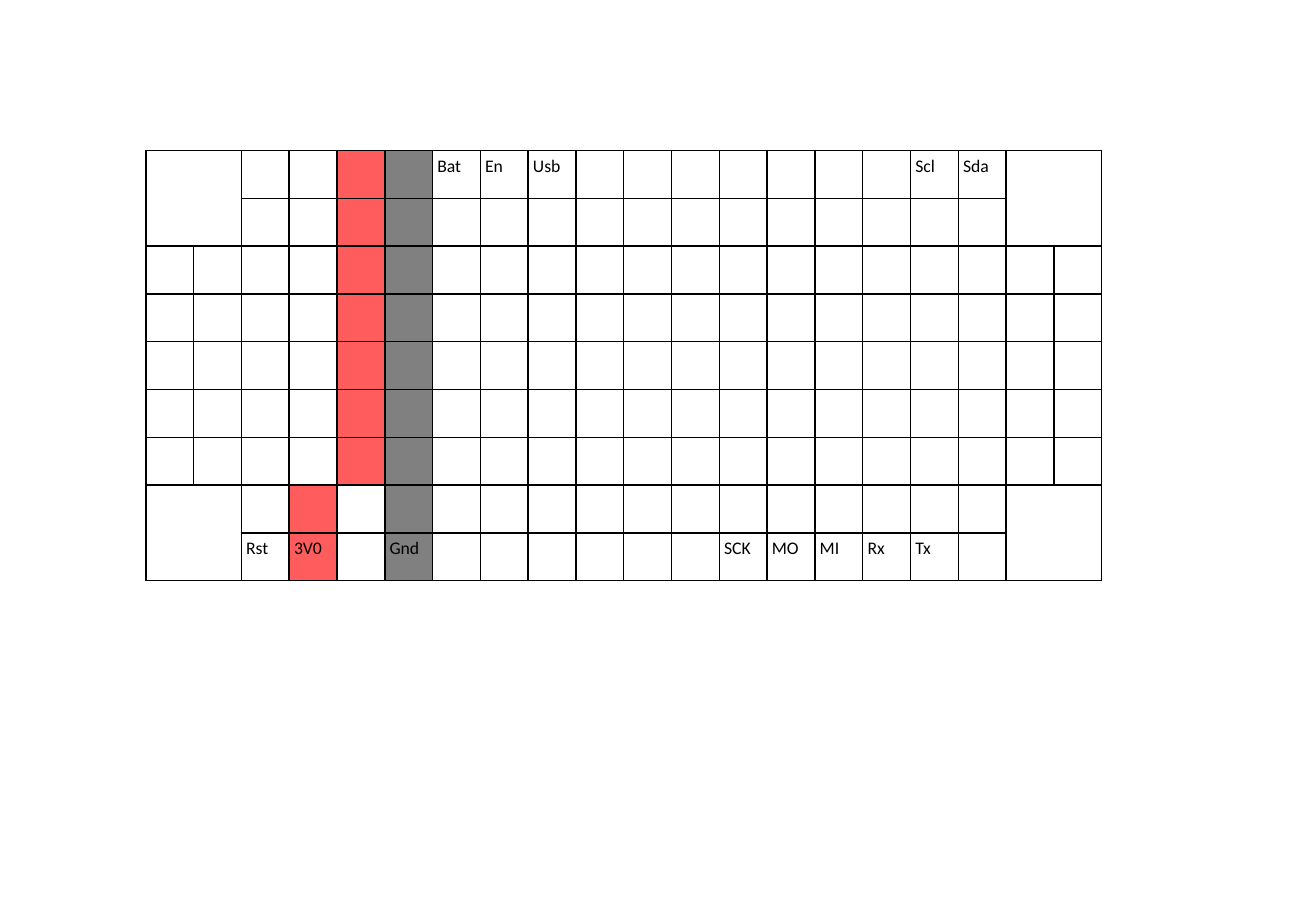
from lxml.etree import SubElement
from pptx import Presentation
from pptx.dml.color import RGBColor
from pptx.oxml.ns import qn
from pptx.util import Inches, Pt

THEME = {
    "power": "FF5D5D",
    "ground": "808080",
    "line": "000000",
    "line_width": Pt(1),
    "text": {"name": "Calibri", "size": Pt(10.5), "bold": False},
}
ROWS, COLS = 9, 20
PITCH = Inches(7.87) // COLS
PAD = Inches(0.04)
MARGINS = {f"margin_{side}": PAD for side in ("left", "top", "right", "bottom")}

LABELS = {
    (0, 6): ["Bat", "En", "Usb"],
    (0, 16): ["Scl", "Sda"],
    (8, 2): ["Rst", "3V0"],
    (8, 5): ["Gnd"],
    (8, 12): ["SCK", "MO", "MI", "Rx", "Tx"],
}
pins = {(row, col + i): name
        for (row, col), names in LABELS.items()
        for i, name in enumerate(names)}

fills = {(row, 5): THEME["ground"] for row in range(ROWS)}
fills.update({(row, 4 if row < 7 else 3): THEME["power"] for row in range(ROWS)})

prs = Presentation()
prs.slide_width, prs.slide_height = Inches(10.83), Inches(7.5)
s = prs.slides.add_slide(prs.slide_layouts[6])

board = s.shapes.add_table(ROWS, COLS, Inches(1.2), Inches(1.24),
                           PITCH * COLS, PITCH * ROWS).table
board.first_row = board.horz_banding = False
for line in [*board.columns]:
    line.width = PITCH
for line in [*board.rows]:
    line.height = PITCH

for row in range(ROWS):
    for col in range(COLS):
        cell = board.cell(row, col)
        for key, value in MARGINS.items():
            setattr(cell, key, value)

        r = cell.text_frame.paragraphs[0].add_run()
        r.text = pins.get((row, col), "")
        for key, value in THEME["text"].items():
            setattr(r.font, key, value)
        r.font.color.rgb = RGBColor.from_string(THEME["line"])

        tcPr = cell._tc.get_or_add_tcPr()
        for side in "LRTB":
            ln = SubElement(tcPr, qn(f"a:ln{side}"), w=str(THEME["line_width"]))
            SubElement(SubElement(ln, qn("a:solidFill")), qn("a:srgbClr"), val=THEME["line"])

        if (row, col) in fills:
            cell.fill.solid()
            cell.fill.fore_color.rgb = RGBColor.from_string(fills[row, col])
        else:
            cell.fill.background()

for row in (0, ROWS - 2):
    for col in (0, COLS - 2):
        board.cell(row, col).merge(board.cell(row + 1, col + 1))

prs.save("out.pptx")
